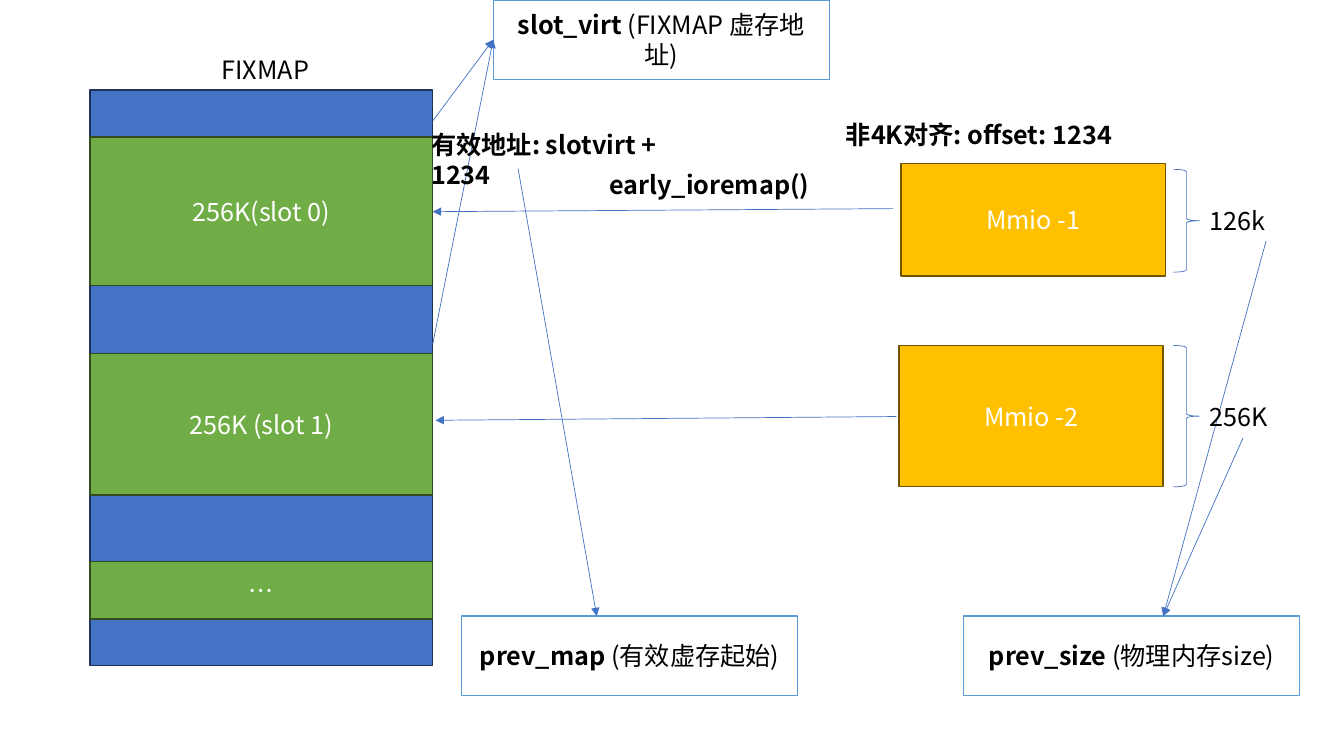
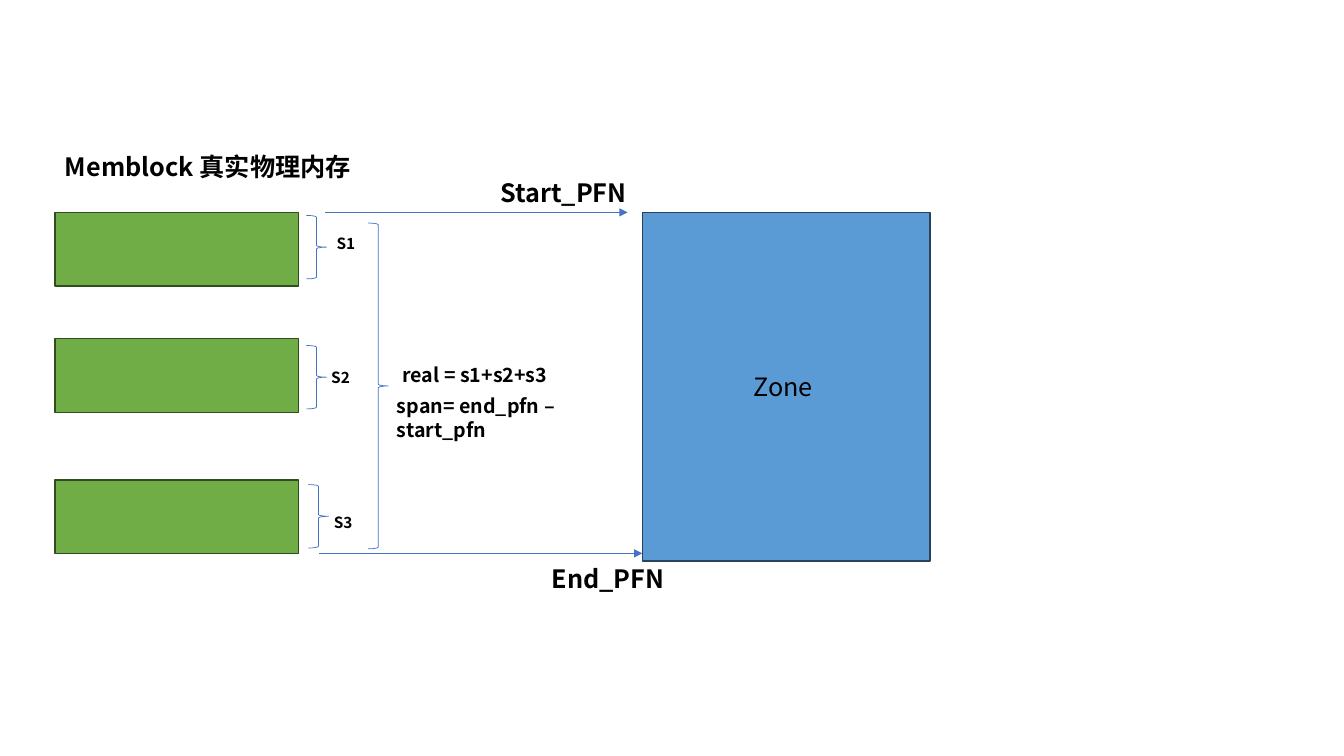
from dataclasses import dataclass

from lxml import etree
from pptx import Presentation
from pptx.dml.color import RGBColor
from pptx.enum.shapes import MSO_CONNECTOR, MSO_SHAPE
from pptx.enum.text import MSO_ANCHOR, MSO_AUTO_SIZE, PP_ALIGN
from pptx.oxml.ns import qn
from pptx.util import Inches, Pt

RECT = MSO_SHAPE.RECTANGLE
BRACE = MSO_SHAPE.RIGHT_BRACE
LINE = MSO_CONNECTOR.STRAIGHT
MIDDLE = MSO_ANCHOR.MIDDLE
CENTER = PP_ALIGN.CENTER
GROW = MSO_AUTO_SIZE.SHAPE_TO_FIT_TEXT

WIDE, HIGH = Inches(13.33), Inches(7.5)


@dataclass(frozen=True)
class Theme:
    font: str = "Noto Sans CJK SC"
    body: int = 18
    mid: int = 14
    small: int = 11
    edge: float = 1
    thin: float = 0.5
    ink: str = "000000"
    white: str = "FFFFFF"
    link: str = "4472C4"
    blue: tuple = ("4472C4", "1E3256")
    green: tuple = ("70AD47", "314C1F")
    gold: tuple = ("FFC000", "705400")
    note: tuple = ("FFFFFF", "5B9BD5")
    zone: tuple = ("5B9BD5", "28445D")


T = Theme()


def across(share):
    return round(WIDE * share / 100)


def down(share):
    return round(HIGH * share / 100)


def place(x, y, w, h):
    return across(x), down(y), across(w), down(h)


def apply(target, form):
    for name, value in form.items():
        setattr(target, name, value)


def stroke(item, color, width):
    item.line.color.rgb = RGBColor.from_string(color)
    item.line.width = Pt(width)


def write(para, text, size=T.body, color=T.ink, bold=False):
    run = para.add_run()
    run.text = text
    apply(run.font, {"name": T.font, "size": Pt(size), "bold": bold})
    run.font.color.rgb = RGBColor.from_string(color)
    east = etree.SubElement(run.font._element, qn("a:ea"))
    east.set("typeface", T.font)


def box(slide, spot, style, text="", color=T.white, head=""):
    item = slide.shapes.add_shape(RECT, *place(*spot))
    item.shadow.inherit = False
    fill, edge = style
    item.fill.solid()
    item.fill.fore_color.rgb = RGBColor.from_string(fill)
    stroke(item, edge, T.edge)
    apply(item.text_frame, {"word_wrap": True, "vertical_anchor": MIDDLE})
    para = item.text_frame.paragraphs[0]
    para.alignment = CENTER
    if head:
        write(para, head, color=color, bold=True)
    if text:
        write(para, text, color=color)


def label(slide, x, y, w, text, size=T.body, bold=True):
    item = slide.shapes.add_textbox(*place(x, y, w, size * 0.3))
    apply(item.text_frame, {"word_wrap": True, "auto_size": GROW})
    write(item.text_frame.paragraphs[0], text, size, bold=bold)


def brace(slide, *spot):
    item = slide.shapes.add_shape(BRACE, *place(*spot))
    item.shadow.inherit = False
    item.fill.background()
    stroke(item, T.link, T.thin)


def arrow(slide, x1, y1, x2, y2):
    item = slide.shapes.add_connector(
        LINE, across(x1), down(y1), across(x2), down(y2))
    stroke(item, T.link, T.thin)
    tip = etree.SubElement(item.line._get_or_add_ln(), qn("a:tailEnd"))
    tip.set("type", "triangle")
    etree.SubElement(item._element.spPr, qn("a:effectLst"))


def draw_map(slide):
    left, width = 6.7, 25.5
    right = left + width
    box(slide, (left, 11.9, width, 76.1), T.blue)
    for y, h, text in ((18.1, 19.7, "256K(slot 0)"),
                       (46.8, 18.7, "256K (slot 1)"),
                       (74.3, 7.6, "…")):
        box(slide, (left, y, width, h), T.green, text)
    for x, y, h, text in ((67.05, 21.6, 14.9, "Mmio -1"),
                          (66.9, 45.7, 18.7, "Mmio -2")):
        box(slide, (x, y, 19.65, h), T.gold, text)

    base = 81.5
    for x, y, head, text in (
            (36.7, 0, "slot_virt ", "(FIXMAP 虚存地址)"),
            (71.7, base, "prev_size ", "(物理内存size)"),
            (34.35, base, "prev_map ", "(有效虚存起始)")):
        box(slide, (x, y, 25, 10.5), T.note, text, T.ink, head)

    for y, h in ((22.4, 13.6), (45.7, 18.7)):
        brace(slide, 87.3, y, 1.95, h)
    for ends in ((right, 16, 36.7, 5.25), (right, 45.5, 36.7, 5.25),
                 (92.5, 57.9, 86.55, base), (94.2, 31.9, 86.55, base),
                 (66.45, 27.6, right, 28), (66.7, 55.1, 32.4, 55.6),
                 (38.55, 22.3, 44.4, base)):
        arrow(slide, *ends)

    for x, y, w, text in ((15.75, 6.5, 10, "FIXMAP"),
                          (89.25, 26.5, 10, "126k"),
                          (89.25, 52.4, 6.4, "256K")):
        label(slide, x, y, w, text, bold=False)
    for x, y, text in ((62.2, 15.1, "非4K对齐: offset: 1234"),
                       (44.6, 21.7, "early_ioremap()"),
                       (31.35, 16.4, "有效地址: slotvirt + 1234")):
        label(slide, x, y, 22.6, text)


def draw_zone(slide):
    top, left, edge = 28.1, 4.1, 47.8
    for y in (top, 44.8, 63.5):
        box(slide, (left, y, 18.1, 9.75), T.green)
    box(slide, (edge, top, 21.4, 46.1), T.zone, "Zone ", T.ink)
    arrow(slide, 24.2, top, 46.7, top)
    arrow(slide, 23.7, 73.2, edge, 73.2)
    for x, y, h in ((22.8, 28.5, 8.4), (22.8, 45.7, 8.4),
                    (22.95, 64.1, 8.4), (27.4, 29.5, 43.1)):
        brace(slide, x, y, 1.5, h)
    for x, y, w, text, size in (
            (left, 19.3, 22.9, "Memblock 真实物理内存", T.body),
            (36.5, 22.8, 12.9, "Start_PFN", T.body),
            (40.3, 73.9, 12.9, "End_PFN", T.body),
            (29.2, 47.3, 15.1, "real = s1+s2+s3", T.mid),
            (28.8, 51.5, 19, "span= end_pfn – start_pfn", T.mid),
            (24.3, 30.3, 5, "S1", T.small),
            (23.9, 48, 5, "S2", T.small),
            (24.1, 67.2, 5, "S3", T.small)):
        label(slide, x, y, w, text, size)


def main():
    deck = Presentation()
    apply(deck, {"slide_width": WIDE, "slide_height": HIGH})
    blank = deck.slide_layouts[6]
    for draw in (draw_map, draw_zone):
        draw(deck.slides.add_slide(blank))
    deck.save("out.pptx")


if __name__ == "__main__":
    main()
